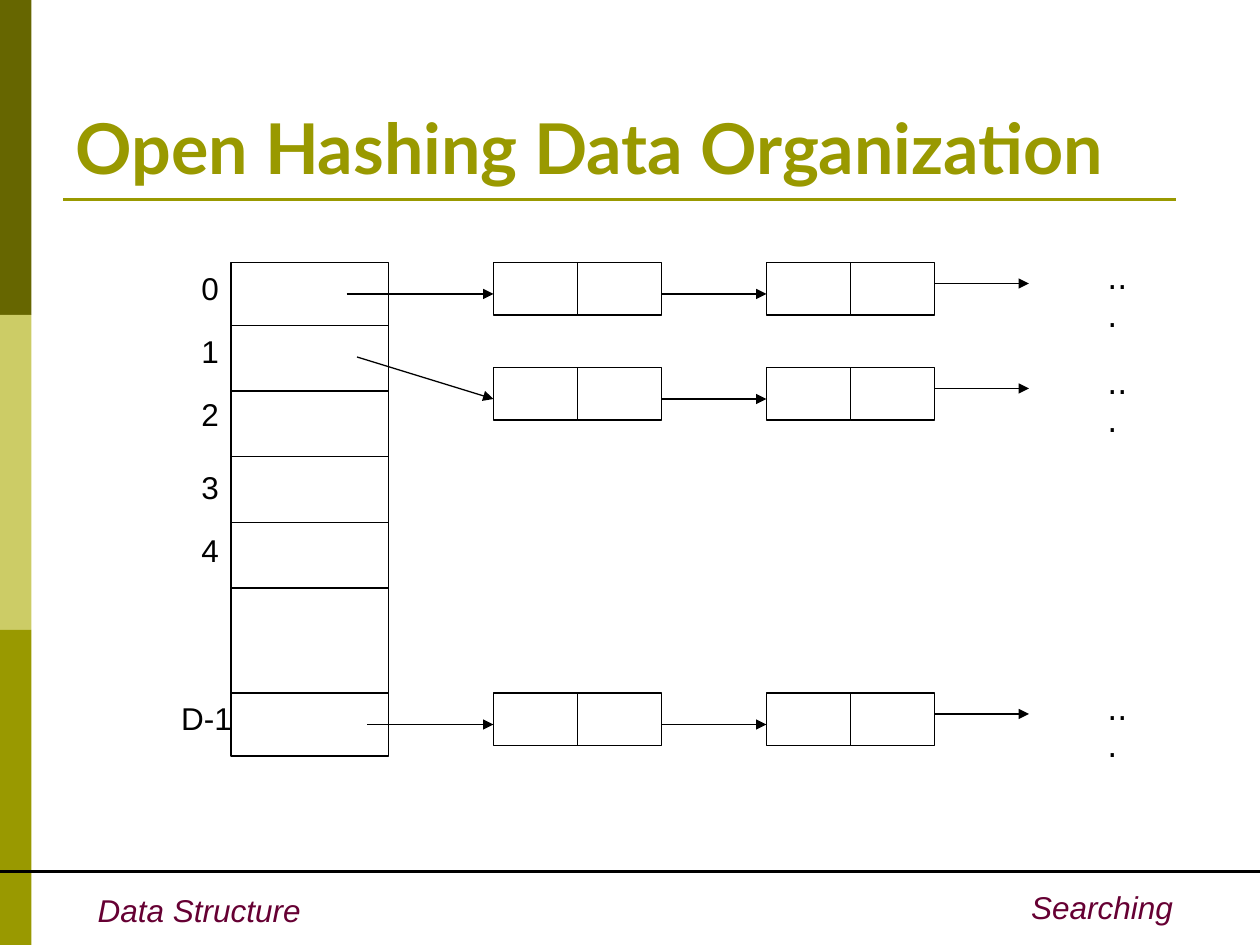
from lxml import etree
from pptx import Presentation
from pptx.dml.color import RGBColor
from pptx.enum.shapes import MSO_CONNECTOR, MSO_SHAPE
from pptx.enum.text import MSO_ANCHOR, MSO_AUTO_SIZE, PP_ALIGN
from pptx.oxml.ns import qn
from pptx.util import Pt

COLORS = {
    "olive": "999900",
    "dark_olive": "666600",
    "pale_olive": "CCCC66",
    "footer": "660033",
    "ink": "000000",
}


def rgb(name):
    return RGBColor.from_string(COLORS[name])


def add_band(slide, top, color):
    band = slide.shapes.add_shape(MSO_SHAPE.RECTANGLE, Pt(0), Pt(top), Pt(18), Pt(180))
    band.shadow.inherit = False
    band.fill.solid()
    band.fill.fore_color.rgb = rgb(color)
    band.line.fill.background()


def add_cell(slide, left, top, width, height):
    cell = slide.shapes.add_shape(
        MSO_SHAPE.RECTANGLE, Pt(left), Pt(top), Pt(width), Pt(height))
    cell.shadow.inherit = False
    cell.fill.background()
    cell.line.color.rgb = rgb("ink")
    cell.line.width = Pt(0.75)


def add_line(slide, start, end, color="ink", width=0.75, arrow=False):
    line = slide.shapes.add_connector(
        MSO_CONNECTOR.STRAIGHT, *(Pt(value) for value in start + end))
    line.line.color.rgb = rgb(color)
    line.line.width = Pt(width)
    if arrow:
        etree.SubElement(line.line._get_or_add_ln(), qn("a:tailEnd"), type="triangle")
    etree.SubElement(line._element.spPr, qn("a:effectLst"))


def add_text(slide, text, left, top, width, font="Arial", color="ink",
             italic=False, align=PP_ALIGN.LEFT, wrap=False):
    box = slide.shapes.add_textbox(Pt(left), Pt(top), Pt(width), Pt(28.8))
    box.text_frame.word_wrap = wrap
    paragraph = box.text_frame.paragraphs[0]
    paragraph.text = text
    paragraph.alignment = align
    paragraph.font.name = font
    paragraph.font.size = Pt(18)
    paragraph.font.italic = italic
    paragraph.font.color.rgb = rgb(color)


def set_title(slide, text):
    title = slide.shapes.title
    title.left, title.top, title.width, title.height = Pt(36), Pt(21.6), Pt(648), Pt(90)
    frame = title.text_frame
    frame.text = text
    frame.word_wrap = True
    frame.auto_size = MSO_AUTO_SIZE.NONE
    frame.vertical_anchor = MSO_ANCHOR.BOTTOM
    heading = frame.paragraphs[0]
    heading.alignment = PP_ALIGN.LEFT
    heading.font.name = "Lato"
    heading.font.size = Pt(40)
    heading.font.bold = True
    heading.font.color.rgb = rgb("olive")


def add_bucket_table(slide):
    left, top, width, height = 132, 150, 90, 282
    add_cell(slide, left, top, width, height)
    dividers = [186 + 37.5 * row for row in range(5)] + [396]
    for y in dividers:
        add_line(slide, (left, y), (left + width, y))
    label_tops = {"0": 150, "1": 186, "2": 222, "3": 264, "4": 300}
    for label, label_top in label_tops.items():
        add_text(slide, label, 108, label_top, 24.5)
    add_text(slide, "D-1", 96.5, 396, 43.2)


def add_chain(slide, top, pointer):
    """Draw one bucket's linked list, reached from the pointer position."""
    cell_width, cell_height = 48, 30
    first, second = 282, 438
    for node in (first, second):
        for left in (node, node + cell_width):
            add_cell(slide, left, top, cell_width, cell_height)
    link_y, exit_y = top + 18, top + 12
    chain_end = second + 2 * cell_width
    add_line(slide, pointer, (first, link_y), arrow=True)
    add_line(slide, (first + 2 * cell_width, link_y), (second, link_y), arrow=True)
    add_line(slide, (chain_end, exit_y), (chain_end + 54, exit_y), arrow=True)
    # The narrow box wraps the dots
    add_text(slide, "...", 625.7, top - 6, 28.8, font="DejaVu Sans", wrap=True)


def main():
    presentation = Presentation()
    presentation.slide_width, presentation.slide_height = Pt(720), Pt(540)
    slide = presentation.slides.add_slide(presentation.slide_layouts[5])

    # Side bands and rules
    for index, color in enumerate(("dark_olive", "pale_olive", "olive")):
        add_band(slide, 180 * index, color)
    add_line(slide, (36, 114), (672, 114), "olive", 1.5)
    add_line(slide, (0, 498), (720, 498), width=2.25)

    # Footer
    add_text(slide, "Data Structure", 48.7, 505.5, 130.3, color="footer", italic=True)
    add_text(slide, "Searching", 377.3, 504, 300, color="footer", italic=True,
             align=PP_ALIGN.RIGHT, wrap=True)

    set_title(slide, "Open Hashing Data Organization")

    # Hash table with its chains
    add_bucket_table(slide)
    for top, pointer in ((150, (198, 168)), (210, (204, 204)), (396, (210, 414))):
        add_chain(slide, top, pointer)

    presentation.save("out.pptx")


if __name__ == "__main__":
    main()
